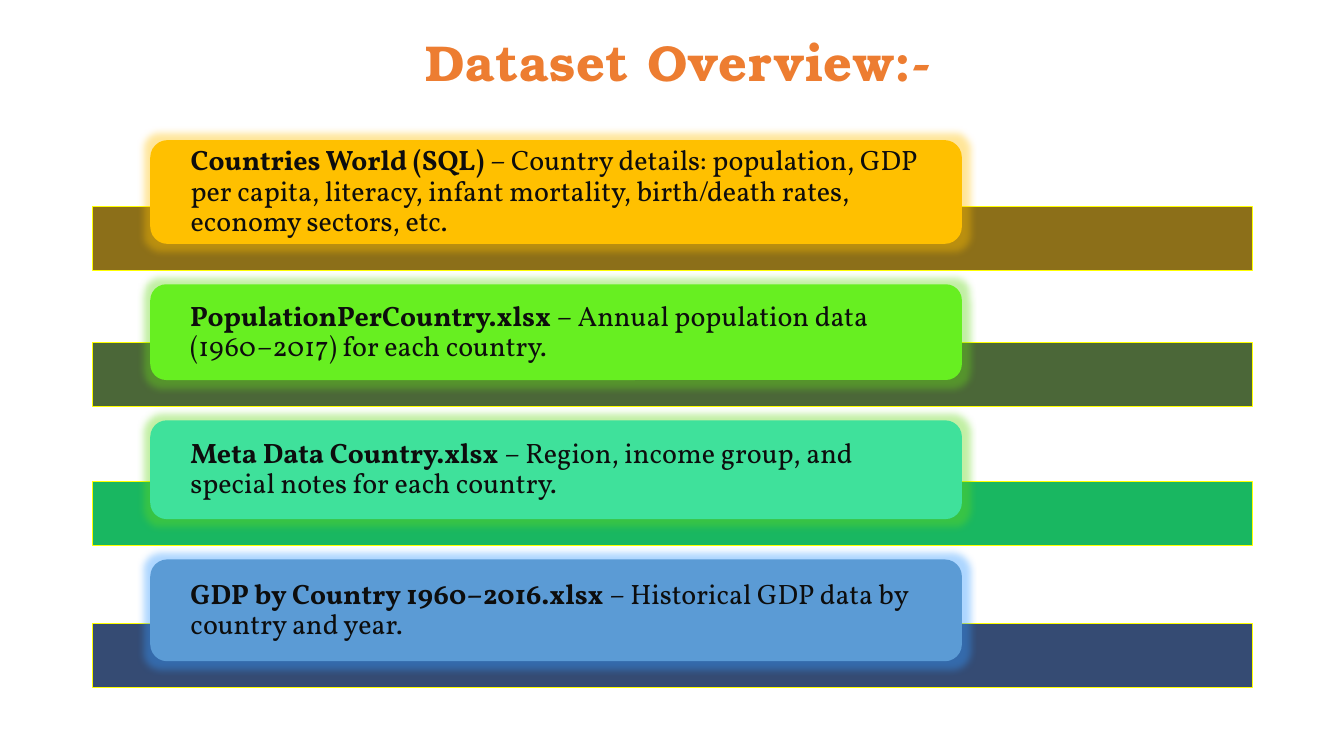
"""Build the dataset overview slide: four glowing cards over wide bars."""
from dataclasses import dataclass

from lxml.etree import SubElement
from pptx import Presentation
from pptx.dml.color import RGBColor
from pptx.enum.shapes import MSO_SHAPE as Shp
from pptx.enum.text import MSO_ANCHOR as Anchor, MSO_AUTO_SIZE as AutoSize, PP_ALIGN as Align
from pptx.oxml.ns import qn
from pptx.shapes.autoshape import Shape
from pptx.slide import Slide
from pptx.util import Emu, Pt

PX = 9144
ORANGE = RGBColor(0xED, 0x7D, 0x31)
INK = RGBColor(0x0D, 0x0D, 0x0D)
YELLOW = RGBColor(0xFF, 0xFF, 0x00)
GOLD = RGBColor(0xFF, 0xC0, 0x00)
BROWN = RGBColor(0x80, 0x60, 0x00)
LIME = RGBColor(0x67, 0xEF, 0x21)
FOREST = RGBColor(0x38, 0x57, 0x23)
MINT = RGBColor(0x3F, 0xE1, 0x9B)
GREEN = RGBColor(0x00, 0xB0, 0x50)
BLUE = RGBColor(0x5B, 0x9B, 0xD5)
NAVY = RGBColor(0x20, 0x38, 0x64)
GLOW_GREEN = RGBColor(0x66, 0xD8, 0x1C)
GLOW_BLUE = RGBColor(0x33, 0x99, 0xFF)

CARD_X, CARD_Y, CARD_W, CARD_GAP = 149, 139, 805, 40
BAR_X, BAR_W, BAR_H, BAR_OVERLAP = 92, 1150, 63, 37
CARD_INSET, GLOW_RADIUS = 35, 14


@dataclass
class Dataset:
    """One dataset card and the bar behind it."""
    name: str
    about: str
    height: int
    card: RGBColor
    bar: RGBColor
    glow: RGBColor


DATASETS = [
    Dataset("Countries World (SQL) ",
            "– Country details: population, GDP per capita, literacy, infant mortality, "
            "birth/death rates, economy sectors, etc.", 103, GOLD, BROWN, GOLD),
    Dataset("PopulationPerCountry.xlsx ",
            "– Annual population data (1960–2017) for each country.",
            95, LIME, FOREST, GLOW_GREEN),
    Dataset("Meta Data Country.xlsx ",
            "– Region, income group, and special notes for each country.",
            98, MINT, GREEN, GLOW_GREEN),
    Dataset("GDP by Country 1960–2016.xlsx ",
            "– Historical GDP data by country and year.",
            101, BLUE, NAVY, GLOW_BLUE),
]


def px(n: int) -> Emu:
    """Turn px into EMU."""
    return Emu(n * PX)


def add_block(slide: Slide, kind: Shp, x: int, y: int, w: int, h: int, fill: RGBColor) -> Shape:
    """Add a filled shape without shadow."""
    sp = slide.shapes.add_shape(kind, px(x), px(y), px(w), px(h))
    sp.shadow.inherit = False
    sp.fill.solid()
    sp.fill.fore_color.rgb = fill
    return sp


def add_bar(slide: Slide, y: int, color: RGBColor) -> None:
    """Add a slightly transparent bar with a thin yellow outline."""
    sp = add_block(slide, Shp.RECTANGLE, BAR_X, y, BAR_W, BAR_H, color)
    sp.line.color.rgb = YELLOW
    sp.line.width = Pt(0.75)
    clr = sp._element.spPr.find(qn("a:solidFill"))[0]
    SubElement(clr, qn("a:alpha"), val="90000")


def add_glow(sp: Shape, color: RGBColor) -> None:
    """Give the shape a soft glow."""
    effects = sp._element.spPr.find(qn("a:effectLst"))
    glow = SubElement(effects, qn("a:glow"), rad=str(px(GLOW_RADIUS)))
    clr = SubElement(glow, qn("a:srgbClr"), val=str(color))
    SubElement(clr, qn("a:alpha"), val="40000")


def add_card(slide: Slide, y: int, data: Dataset) -> None:
    """Add a rounded card with a bold name and a description."""
    sp = add_block(slide, Shp.ROUNDED_RECTANGLE, CARD_X, y, CARD_W, data.height, data.card)
    sp.line.fill.background()
    add_glow(sp, data.glow)
    tf = sp.text_frame
    tf.word_wrap = True
    tf.vertical_anchor = Anchor.MIDDLE
    tf.margin_left = tf.margin_right = px(CARD_INSET)
    tf.margin_top = tf.margin_bottom = 0
    p = tf.paragraphs[0]
    p.alignment = Align.LEFT
    p.line_spacing = 0.9
    p.space_before, p.space_after = Pt(10), Pt(7)
    for text, bold in ((data.name, True), (data.about, False)):
        r = p.add_run()
        r.text = text
        r.font.name, r.font.size, r.font.bold = "Vollkorn", Pt(20), bold
        r.font.color.rgb = INK


def set_title(slide: Slide, text: str) -> None:
    """Place and format the title placeholder."""
    sp = slide.shapes.title
    sp.left, sp.top, sp.width, sp.height = px(412), px(25), px(597), px(80)
    tf = sp.text_frame
    tf.text = text
    tf.word_wrap = True
    tf.auto_size = AutoSize.NONE
    tf.vertical_anchor = Anchor.MIDDLE
    p = tf.paragraphs[0]
    p.alignment = Align.LEFT
    p.line_spacing = 0.9
    r = p.runs[0]
    r.font.name, r.font.size, r.font.bold = "TeX Gyre Bonum", Pt(36), True
    r.font.color.rgb = ORANGE
    r.font._element.set("spc", "50")


def main() -> None:
    """Build and save the slide."""
    prs = Presentation()
    prs.slide_width, prs.slide_height = px(1333), px(750)
    slide = prs.slides.add_slide(prs.slide_layouts[5])
    set_title(slide, "Dataset Overview:-")
    y = CARD_Y
    for data in DATASETS:
        add_bar(slide, y + data.height - BAR_OVERLAP, data.bar)
        add_card(slide, y, data)
        y += data.height + CARD_GAP
    prs.save("out.pptx")


if __name__ == "__main__":
    main()
